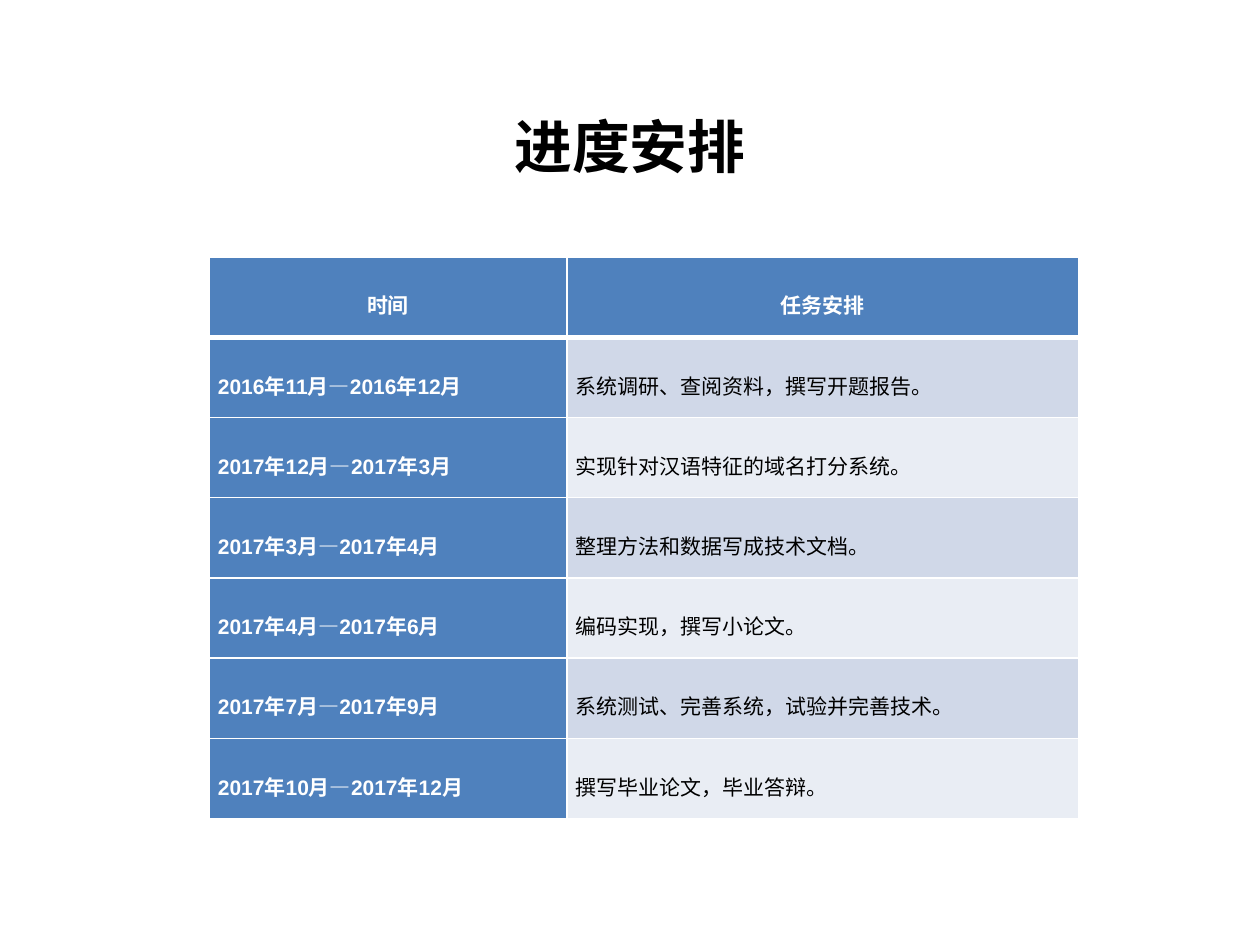
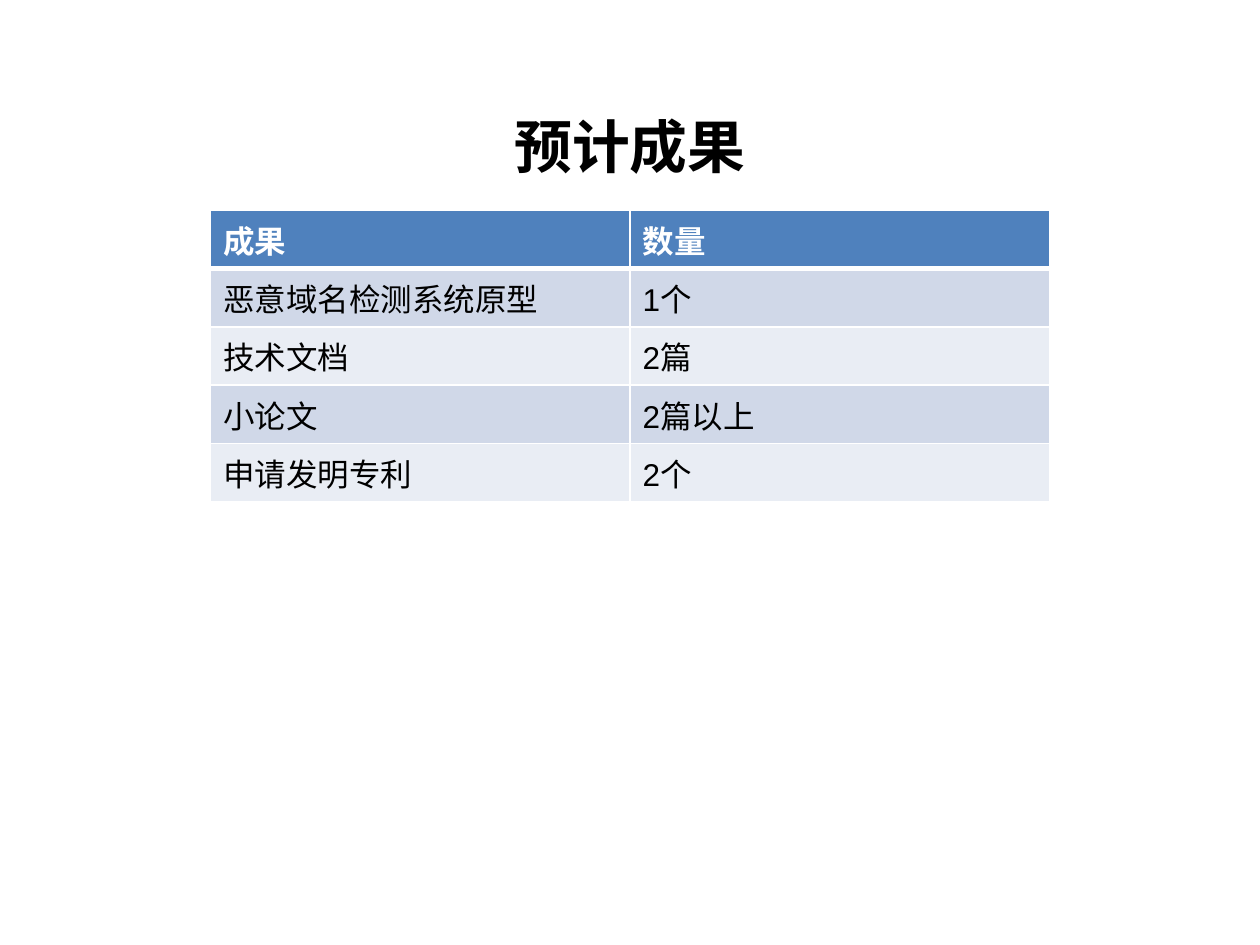
from dataclasses import dataclass

from lxml.etree import SubElement
from pptx import Presentation
from pptx.dml.color import RGBColor
from pptx.enum.lang import MSO_LANGUAGE_ID
from pptx.enum.text import MSO_ANCHOR, PP_ALIGN
from pptx.oxml.ns import qn
from pptx.util import Inches, Pt


@dataclass(frozen=True)
class Theme:
    font: str = "Arial"
    black: str = "000000"
    white: str = "FFFFFF"
    accent: str = "4F81BD"
    bands: tuple = ("D0D8E8", "E9EDF4")
    title_size: int = 33
    rule: int = 1
    header_rule: int = 3


THEME = Theme()

# Content: the first row of each table is its header
SLIDES = [
    {
        "title": "进度安排",
        "rows": [
            ("时间", "任务安排"),
            ("2016年11月—2016年12月", "系统调研、查阅资料，撰写开题报告。"),
            ("2017年12月—2017年3月", "实现针对汉语特征的域名打分系统。"),
            ("2017年3月—2017年4月", "整理方法和数据写成技术文档。"),
            ("2017年4月—2017年6月", "编码实现，撰写小论文。"),
            ("2017年7月—2017年9月", "系统测试、完善系统，试验并完善技术。"),
            ("2017年10月—2017年12月", "撰写毕业论文，毕业答辩。"),
        ],
        "left": 1.66, "top": 2.04, "columns": (2.84, 4.06), "row_height": 0.637,
        "size": 12, "accent_first_column": True,
        "header_align": PP_ALIGN.CENTER, "body_align": PP_ALIGN.JUSTIFY,
        "line_spacing": 1.5, "anchor": MSO_ANCHOR.MIDDLE, "margins": (0.07, 0),
    },
    {
        "title": "预计成果",
        "rows": [
            ("成果", "数量"),
            ("恶意域名检测系统原型", "1个"),
            ("技术文档", "2篇"),
            ("小论文", "2篇以上"),
            ("申请发明专利", "2个"),
        ],
        "left": 1.67, "top": 1.67, "columns": (3.33, 3.33), "row_height": 0.41,
        "size": 18, "accent_first_column": False,
        "header_align": PP_ALIGN.LEFT, "body_align": PP_ALIGN.LEFT,
        "line_spacing": 1.0, "anchor": MSO_ANCHOR.TOP, "margins": (0.1, 0.05),
    },
]


def add_run(paragraph, text, size, color, bold):
    run = paragraph.add_run()
    run.text = text
    font = run.font
    font.name, font.size, font.bold = THEME.font, Pt(size), bold
    font.color.rgb = RGBColor.from_string(color)
    font.language_id = MSO_LANGUAGE_ID.SIMPLIFIED_CHINESE


def set_borders(cell, row):
    """White rules, with a heavier one between the header and the body."""
    widths = {
        "lnL": THEME.rule,
        "lnR": THEME.rule,
        "lnT": THEME.header_rule if row == 1 else THEME.rule,
        "lnB": THEME.header_rule if row == 0 else THEME.rule,
    }
    properties = cell._tc.get_or_add_tcPr()
    for side, width in widths.items():
        line = SubElement(properties, qn(f"a:{side}"), w=str(Pt(width)))
        fill = SubElement(line, qn("a:solidFill"))
        SubElement(fill, qn("a:srgbClr"), val=THEME.white)


def format_cell(cell, text, row, column, content):
    is_header = row == 0
    is_accent = is_header or (column == 0 and content["accent_first_column"])

    set_borders(cell, row)
    cell.fill.solid()
    cell.fill.fore_color.rgb = RGBColor.from_string(
        THEME.accent if is_accent else THEME.bands[(row - 1) % 2])

    side, end = content["margins"]
    cell.margin_left = cell.margin_right = Inches(side)
    cell.margin_top = cell.margin_bottom = Inches(end)
    cell.vertical_anchor = content["anchor"]

    paragraph = cell.text_frame.paragraphs[0]
    paragraph.alignment = content["header_align" if is_header else "body_align"]
    paragraph.line_spacing = content["line_spacing"]
    add_run(paragraph, text, content["size"],
            THEME.white if is_accent else THEME.black, is_accent)


def add_title(slide, text):
    title = slide.shapes.title
    title.left, title.top = Inches(0.5), Inches(0.76)
    title.width, title.height = Inches(9), Inches(0.79)
    title.text_frame.vertical_anchor = MSO_ANCHOR.MIDDLE
    paragraph = title.text_frame.paragraphs[0]
    paragraph.alignment = PP_ALIGN.CENTER
    add_run(paragraph, text, THEME.title_size, THEME.black, True)


def add_content_table(slide, content):
    rows, columns = content["rows"], content["columns"]
    table = slide.shapes.add_table(
        len(rows), len(columns), Inches(content["left"]), Inches(content["top"]),
        Inches(sum(columns)), Inches(content["row_height"] * len(rows))).table
    for column, width in zip(table.columns, columns):
        column.width = Inches(width)
    for row, texts in enumerate(rows):
        table.rows[row].height = Inches(content["row_height"])
        for column, text in enumerate(texts):
            format_cell(table.cell(row, column), text, row, column, content)


# Build the slides
presentation = Presentation()
presentation.slide_width, presentation.slide_height = Inches(10), Inches(7.5)
title_only = presentation.slide_layouts[5]
for content in SLIDES:
    slide = presentation.slides.add_slide(title_only)
    add_title(slide, content["title"])
    add_content_table(slide, content)

presentation.save("out.pptx")
